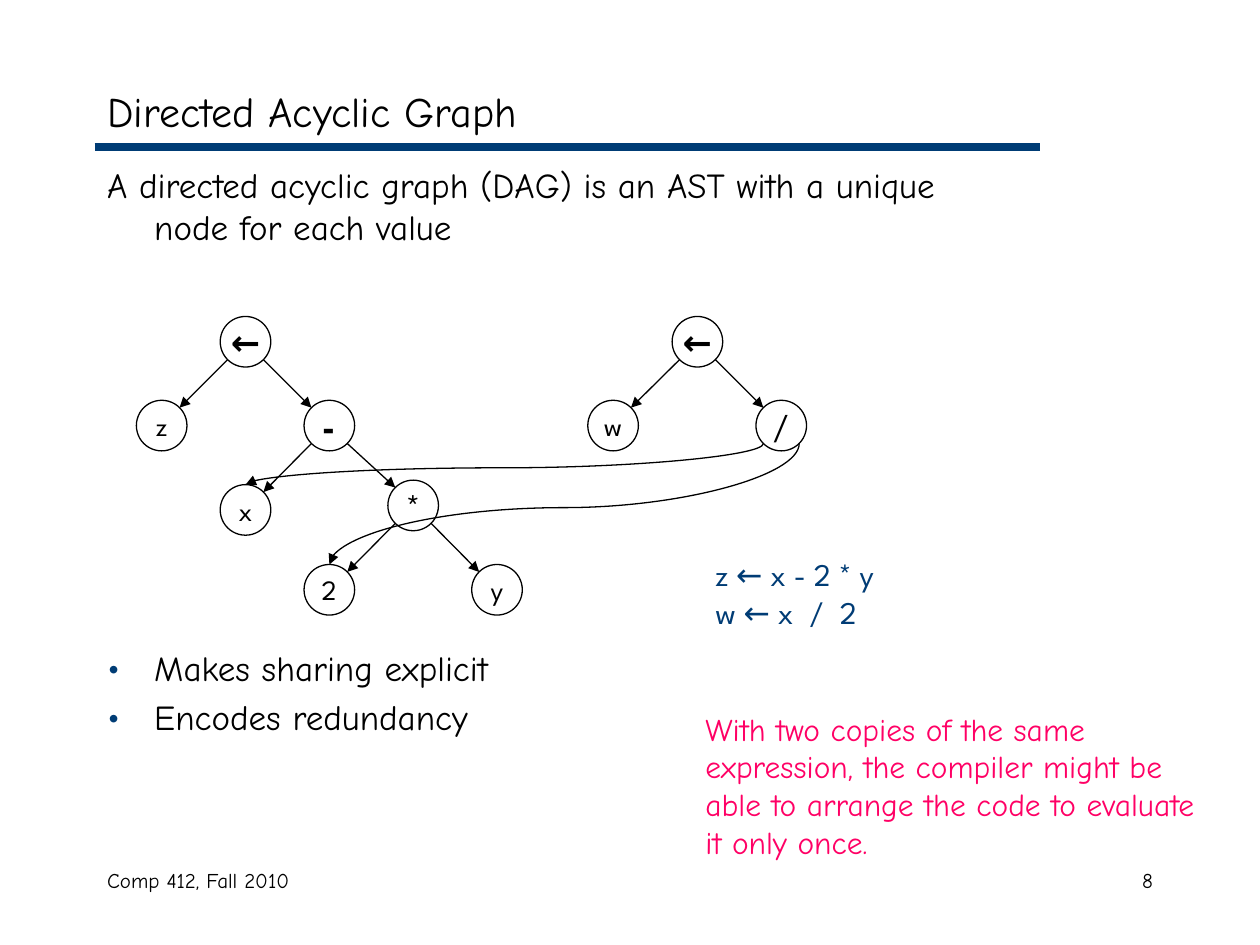
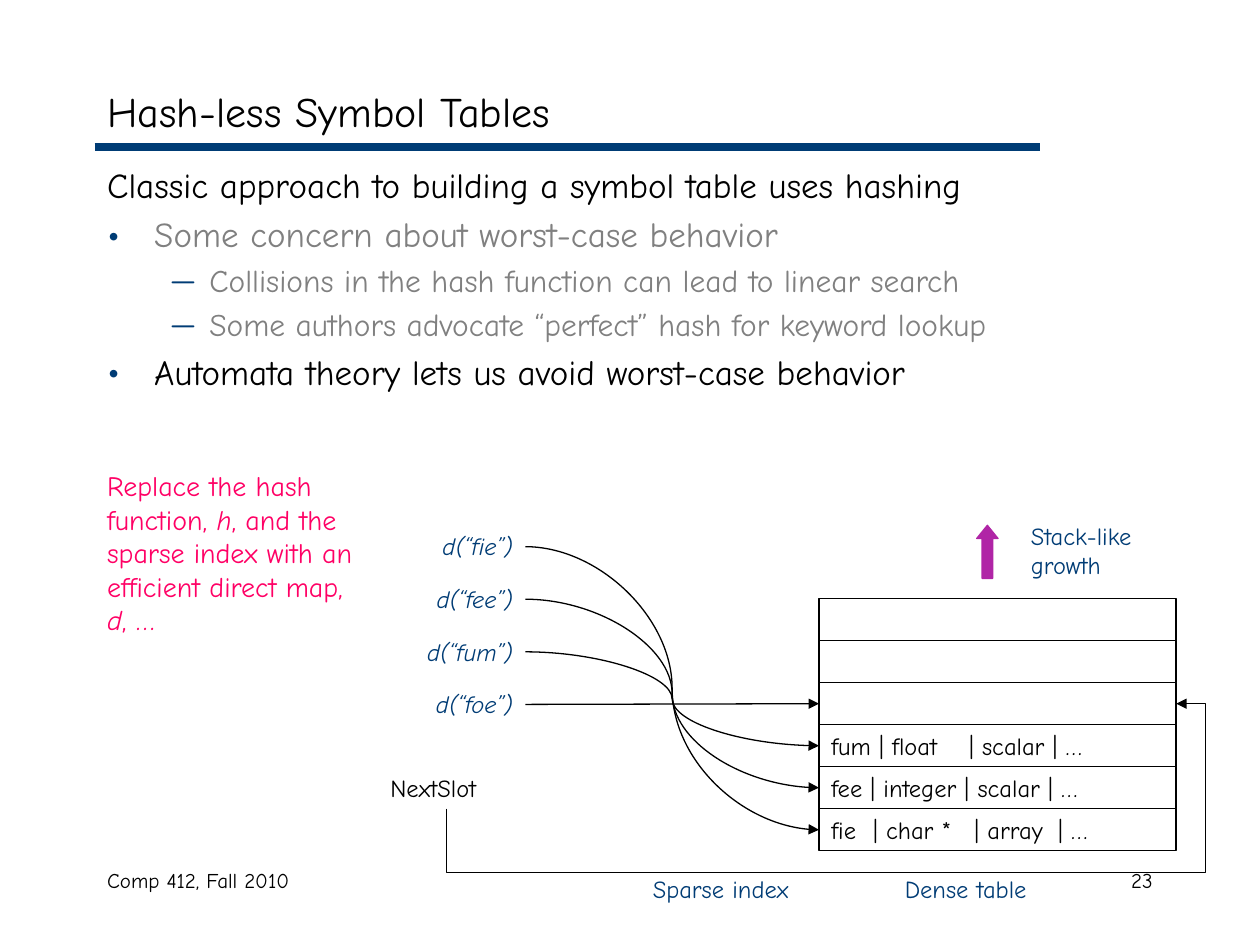
from dataclasses import dataclass
from math import sqrt

from lxml.etree import SubElement
from pptx import Presentation
from pptx.dml.color import RGBColor
from pptx.enum.shapes import MSO_CONNECTOR, MSO_SHAPE
from pptx.enum.text import MSO_ANCHOR, PP_ALIGN
from pptx.oxml.ns import qn
from pptx.util import Cm, Pt

BLACK = RGBColor(0x00, 0x00, 0x00)
NAVY = RGBColor(0x00, 0x3C, 0x75)
GREY = RGBColor(0x80, 0x80, 0x80)
PINK = RGBColor(0xFF, 0x00, 0x65)
PURPLE = RGBColor(0xB0, 0x25, 0xA6)
BODY_FONT = "Comic Neue"
CODE_FONT = "League Spartan"
FOOTER = "Comp 412, Fall 2010"
MARGIN = 1.91
QUARTER_TURN = "5400000"

Point = tuple[float, float]


@dataclass(frozen=True)
class Box:
    """Position and size in centimetres."""
    left: float
    top: float
    width: float
    height: float

    @property
    def lengths(self) -> tuple:
        return Cm(self.left), Cm(self.top), Cm(self.width), Cm(self.height)

    def point(self, across: float, down: float) -> Point:
        """Point at the given fractions of the width and height."""
        return self.left + across * self.width, self.top + down * self.height


@dataclass(frozen=True)
class Bullet:
    mark: str
    left: float
    hanging: float
    percent: int


@dataclass(frozen=True)
class Node:
    label: str
    left: float
    top: float
    size: int = 16
    bold: bool = False

    @property
    def box(self) -> Box:
        return Box(self.left, self.top, 1.02, 1.02)


@dataclass(frozen=True)
class TableRow:
    text: str = ""
    gaps: tuple = ()


DOT = Bullet("•", 0.95, 0.95, 120)
DASH = Bullet("—", 2.06, 0.79, 100)
DIAGONAL = sqrt(0.5) / 2
LOW_LEFT = (0.5 - DIAGONAL, 0.5 + DIAGONAL)
LOW_RIGHT = (0.5 + DIAGONAL, 0.5 + DIAGONAL)
HIGH_LEFT = (0.5 - DIAGONAL, 0.5 - DIAGONAL)
HIGH_RIGHT = (0.5 + DIAGONAL, 0.5 - DIAGONAL)

COLUMNS = [2.75 + 1.69 * column for column in range(5)]
ROWS = [6.38, 8.07, 9.77, 11.38]
STORE_Z = Node("←", COLUMNS[1], ROWS[0], 20, True)
Z = Node("z", COLUMNS[0], ROWS[1])
MINUS = Node("-", COLUMNS[2], ROWS[1], 20, True)
X = Node("x", COLUMNS[1], ROWS[2])
TIMES = Node("*", COLUMNS[3], 9.68, 20)
TWO = Node("2", COLUMNS[2], ROWS[3])
Y = Node("y", COLUMNS[4], ROWS[3])
STORE_W = Node("←", 13.55, ROWS[0], 20, True)
W = Node("w", 11.85, ROWS[1])
DIVIDE = Node("/", 15.24, ROWS[1], 20)
NODES = [STORE_Z, Z, MINUS, X, TIMES, TWO, Y, STORE_W, W, DIVIDE]
CHILDREN = [(STORE_Z, Z, MINUS), (MINUS, X, TIMES), (TIMES, TWO, Y),
            (STORE_W, W, DIVIDE)]

LOOKUPS = ["fie", "fee", "fum", "foe"]
TABLE_ROWS = [
    TableRow(), TableRow(), TableRow(),
    TableRow("fum | float~| scalar | …", (13.5,)),
    TableRow("fee | integer | scalar | …"),
    TableRow("fie~| char *~| array~| …", (5, 8.5, 4)),
]


def write(shape, text: str, *, size: float = 14, color: RGBColor = BLACK,
          font: str = BODY_FONT, bold: bool = False, align=PP_ALIGN.LEFT,
          space: float = 0, left: float = 0, hanging: float = 0,
          bullet: Bullet | None = None, gaps: tuple = ()) -> None:
    """Add a paragraph.

    Parts between underscores are italic. Each tilde is a space widened by
    the next of the gaps, in points.
    """
    frame = shape.text_frame
    is_first = not frame.text
    paragraph = frame.paragraphs[0] if is_first else frame.add_paragraph()
    paragraph.alignment = align
    paragraph.space_before = Pt(0 if is_first else space)
    properties = paragraph._p.get_or_add_pPr()
    if bullet:
        left, hanging = bullet.left, bullet.hanging
    properties.set("marL", str(Cm(left)))
    properties.set("indent", str(-Cm(hanging)))
    if bullet:
        bullet_color = SubElement(properties, qn("a:buClr"))
        SubElement(bullet_color, qn("a:srgbClr"), val=str(NAVY))
        SubElement(properties, qn("a:buSzPct"), val=str(bullet.percent * 1000))
        SubElement(properties, qn("a:buFont"), typeface=BODY_FONT)
        SubElement(properties, qn("a:buChar"), char=bullet.mark)
    else:
        SubElement(properties, qn("a:buNone"))

    def add_run(words: str, italic: bool, gap: float = 0) -> None:
        run = paragraph.add_run()
        run.text = words
        run.font.name = font
        run.font.size = Pt(size)
        run.font.bold = bold
        run.font.italic = italic
        run.font.color.rgb = color
        if gap:
            run._r.get_or_add_rPr().set("spc", str(round(gap * 100)))

    remaining_gaps = iter(gaps)
    for part_index, part in enumerate(text.split("_")):
        italic = part_index % 2 == 1
        for piece_index, piece in enumerate(part.split("~")):
            if piece_index:
                add_run(" ", italic, next(remaining_gaps))
            if piece:
                add_run(piece, italic)


def add_text(slide, box: Box, text: str = "", **text_format):
    shape = slide.shapes.add_textbox(*box.lengths)
    shape.text_frame.word_wrap = True
    if text:
        write(shape, text, **text_format)
    return shape


def add_outline(slide, preset, box: Box, color: RGBColor = BLACK):
    shape = slide.shapes.add_shape(preset, *box.lengths)
    shape.shadow.inherit = False
    shape.fill.background()
    shape.line.color.rgb = color
    shape.line.width = Pt(0.75)
    shape.text_frame.vertical_anchor = MSO_ANCHOR.MIDDLE
    return shape


def add_line(slide, begin: Point, end: Point, *, kind=MSO_CONNECTOR.STRAIGHT,
             color: RGBColor = BLACK, width: float = 0.75, arrow: bool = True,
             upright: bool = False, preset: str = "", adjust: tuple = ()):
    """Draw a connector; an upright one leaves its ends vertically."""
    if upright:
        middle_x, middle_y = (begin[0] + end[0]) / 2, (begin[1] + end[1]) / 2
        begin, end = [(middle_x + y - middle_y, middle_y - x + middle_x)
                      for x, y in (begin, end)]
    connector = slide.shapes.add_connector(
        kind, *[Cm(length) for length in (*begin, *end)])
    connector.line.color.rgb = color
    connector.line.width = Pt(width)
    properties = connector.element.spPr
    if upright:
        properties.find(qn("a:xfrm")).set("rot", QUARTER_TURN)
    geometry = properties.find(qn("a:prstGeom"))
    if preset:
        geometry.set("prst", preset)
    for index, value in enumerate(adjust, start=1):
        SubElement(geometry.find(qn("a:avLst")), qn("a:gd"),
                   name=f"adj{index}", fmla=f"val {round(value * 100000)}")
    if arrow:
        SubElement(properties.find(qn("a:ln")), qn("a:tailEnd"), type="triangle")
    SubElement(properties, qn("a:effectLst"))


def add_titled_slide(presentation, title: str, number: int):
    slide = presentation.slides.add_slide(presentation.slide_layouts[5])
    add_line(slide, (MARGIN, 2.97), (20.96, 2.97), color=NAVY, width=4.5,
             arrow=False)
    add_text(slide, Box(MARGIN, 17.36, 8.05, 1.27), FOOTER, size=12)
    add_text(slide, Box(18.21, 17.36, 5.28, 1.27), str(number), size=12,
             align=PP_ALIGN.RIGHT)
    heading = slide.shapes.title
    heading.left, heading.top, heading.width, heading.height = Box(
        MARGIN, 1.49, 21.59, 1.48).lengths
    heading.text_frame.vertical_anchor = MSO_ANCHOR.MIDDLE
    write(heading, title, size=24)
    return slide


def add_node(slide, node: Node) -> None:
    circle = add_outline(slide, MSO_SHAPE.OVAL, node.box)
    frame = circle.text_frame
    frame.word_wrap = False
    frame.margin_left = frame.margin_right = Cm(0)
    frame.margin_top = frame.margin_bottom = Cm(0)
    write(circle, node.label, size=node.size, bold=node.bold, font=CODE_FONT,
          align=PP_ALIGN.CENTER)


def build_graph_slide(presentation) -> None:
    slide = add_titled_slide(presentation, "Directed Acyclic Graph", 8)
    body = add_text(slide, Box(MARGIN, 3.18, 21.59, 2.2),
                    "A directed acyclic graph (DAG) is an AST with a unique",
                    size=20, left=0.95, hanging=0.95)
    write(body, "node for each value", size=20, left=0.95)
    benefits = add_text(slide, Box(MARGIN, 12.9, 10.5, 2.2))
    for benefit in ("Makes sharing explicit", "Encodes redundancy"):
        write(benefits, benefit, size=20, space=4, bullet=DOT)

    for node in NODES:
        add_node(slide, node)
    for parent, left_child, right_child in CHILDREN:
        add_line(slide, parent.box.point(*LOW_LEFT),
                 left_child.box.point(*HIGH_RIGHT))
        add_line(slide, parent.box.point(*LOW_RIGHT),
                 right_child.box.point(*HIGH_LEFT))
    for corner, shared, bend in ((LOW_LEFT, X, 0.59), (LOW_RIGHT, TWO, 0.53)):
        add_line(slide, DIVIDE.box.point(*corner), shared.box.point(0.5, 0),
                 kind=MSO_CONNECTOR.CURVE, upright=True, adjust=(bend,))

    code = add_text(slide, Box(14.17, 11.07, 3.96, 1.78))
    write(code, "z ← x - 2 * y", size=18, color=NAVY, font=CODE_FONT)
    write(code, "w ← x~/~2", size=18, color=NAVY, font=CODE_FONT,
          gaps=(4.5, 4.5))
    add_text(slide, Box(13.97, 14.18, 10.59, 3.3),
             "With two copies of the same expression, the compiler might be "
             "able to arrange the code to evaluate it only once.",
             size=18, color=PINK)


def build_symbol_table_slide(presentation) -> None:
    slide = add_titled_slide(presentation, "Hash-less Symbol Tables", 23)
    body = add_text(slide, Box(MARGIN, 3.18, 21.59, 5.5),
                    "Classic approach to building a symbol table uses hashing",
                    size=20, left=0.95, hanging=0.95)
    write(body, "Some concern about worst-case behavior", size=20, color=GREY,
          space=4, bullet=DOT)
    for concern in ("Collisions in the hash function can lead to linear search",
                    "Some authors advocate “perfect” hash for keyword lookup"):
        write(body, concern, size=18, color=GREY, space=3.6, bullet=DASH)
    write(body, "Automata theory lets us avoid worst-case behavior", size=20,
          space=4, bullet=DOT)
    add_text(slide, Box(MARGIN, 9.32, 5.5, 3.66),
             "Replace the hash function, _h_, and the sparse index with an "
             "efficient direct map, _d_, …", size=16, color=PINK)

    row_height = 5.08 / len(TABLE_ROWS)
    row_boxes = [Box(16.51, 12.07 + index * row_height, 7.2, row_height)
                 for index in range(len(TABLE_ROWS))]
    for row, box in zip(TABLE_ROWS, row_boxes):
        cell = add_outline(slide, MSO_SHAPE.RECTANGLE, box)
        if row.text:
            write(cell, row.text, gaps=row.gaps)

    for index, (name, target) in enumerate(zip(LOOKUPS, reversed(row_boxes))):
        label = Box(7.62, 10.59 + 1.06 * index, 2.97, 0.86)
        add_text(slide, label, f"_d(“{name}”)_", color=NAVY,
                 align=PP_ALIGN.RIGHT)
        is_level = index == len(LOOKUPS) - 1
        add_line(slide, label.point(1, 0.5), target.point(0, 0.5),
                 kind=MSO_CONNECTOR.STRAIGHT if is_level else MSO_CONNECTOR.CURVE)

    next_slot = Box(7.62, 15.45, 2.75, 0.85)
    add_text(slide, next_slot, "NextSlot")
    add_line(slide, next_slot.point(0.5, 1), row_boxes[2].point(1, 0.5),
             kind=MSO_CONNECTOR.ELBOW, upright=True, preset="bentConnector4",
             adjust=(-0.61, 1.04))

    growth = add_outline(slide, MSO_SHAPE.UP_ARROW,
                         Box(19.69, 10.59, 0.43, 1.07), PURPLE)
    growth.fill.solid()
    growth.fill.fore_color.rgb = PURPLE
    growth.adjustments[1] = 0.62
    add_text(slide, Box(20.53, 10.37, 3.18, 1.45), "Stack-like growth",
             color=NAVY)
    for left, caption in ((12.91, "Sparse index"), (17.99, "Dense table")):
        add_text(slide, Box(left, 17.5, 3.6, 0.85), caption, color=NAVY)


def main() -> None:
    presentation = Presentation()
    presentation.slide_width = Cm(25.4)
    presentation.slide_height = Cm(19.05)
    build_graph_slide(presentation)
    build_symbol_table_slide(presentation)
    presentation.save("out.pptx")


if __name__ == "__main__":
    main()
